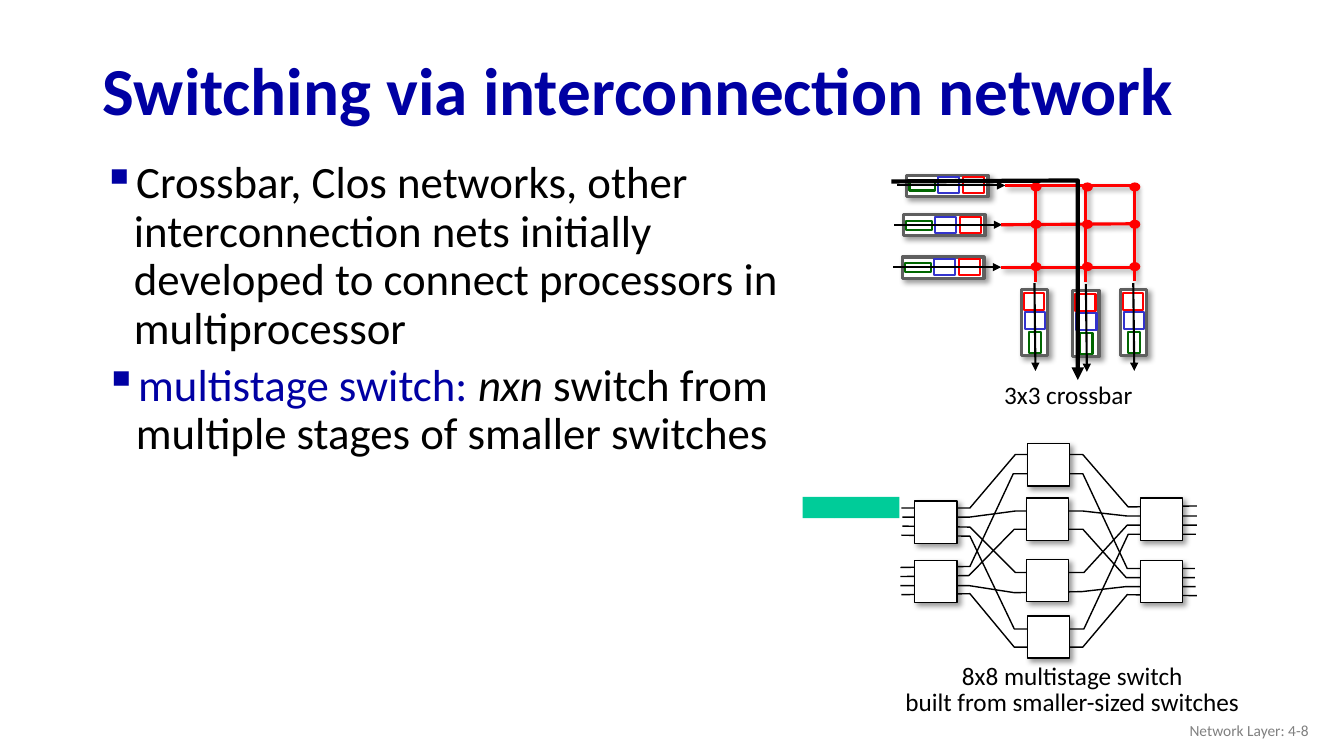
from dataclasses import dataclass
from itertools import product

from lxml.etree import SubElement
from pptx import Presentation
from pptx.dml.color import RGBColor
from pptx.enum.shapes import MSO_CONNECTOR, MSO_SHAPE
from pptx.enum.text import MSO_ANCHOR, MSO_AUTO_SIZE, PP_ALIGN
from pptx.oxml.ns import qn
from pptx.util import Cm, Pt

FONT = "Calibri"
BLACK = RGBColor(0x00, 0x00, 0x00)
WHITE = RGBColor(0xFF, 0xFF, 0xFF)
NAVY = RGBColor(0x00, 0x00, 0xA3)
RED = RGBColor(0xFF, 0x00, 0x00)
BLUE = RGBColor(0x33, 0x33, 0xCC)
GREEN = RGBColor(0x00, 0x66, 0x00)
TEAL = RGBColor(0x00, 0xCC, 0x99)
DARK_GRAY = RGBColor(0x5F, 0x5F, 0x5F)
GRAY = RGBColor(0x80, 0x80, 0x80)

Point = tuple[float, float]
Box = tuple[float, float, float, float]


@dataclass
class Stroke:
    color: RGBColor
    width: float
    arrow: bool = False


@dataclass
class Cell:
    box: Box
    color: RGBColor
    width: float = 1.5
    shadow: bool = False


@dataclass
class Buffer:
    """A port queue: its cells and arrow are relative to the origin."""
    origins: list[Point]
    cells: list[Cell]
    arrow: tuple[Point, Point]
    rotation: int


@dataclass
class Run:
    text: str
    color: RGBColor = BLACK
    italic: bool = False


INPUTS = Buffer(
    [(8.99, 1.74), (8.96, 2.13), (8.95, 2.55)],
    [Cell((0, 0, 0.81, 0.21), DARK_GRAY, 2.25, True),
     Cell((0.03, 0.06, 0.25, 0.09), GREEN),
     Cell((0.31, 0.02, 0.21, 0.16), BLUE),
     Cell((0.56, 0.02, 0.21, 0.16), RED)],
    ((-0.09, 0.1), (0.98, 0.1)), 0)
OUTPUTS = Buffer(
    [(10.91, 3.07), (10.44, 3.08), (9.93, 3.07)],
    [Cell((0, 0, 0.66, 0.26), DARK_GRAY, 2.25, True),
     Cell((0.23, 0.27, 0.21, 0.12), GREEN),
     Cell((0.25, 0.01, 0.17, 0.2), BLUE),
     Cell((0.24, -0.18, 0.17, 0.2), RED)],
    ((0.33, -0.26), (0.34, 0.61)), 90)

CROSSBAR_LINES = [
    ((9.97, 1.84), (11.25, 1.84)), ((9.93, 2.23), (11.26, 2.22)),
    ((9.93, 2.65), (11.25, 2.65)), ((10.27, 2.8), (10.27, 1.84)),
    ((10.77, 2.8), (10.77, 1.84)), ((11.25, 2.79), (11.25, 1.83)),
]
SWITCHED_PATH = [(8.84, 1.8), (10.69, 1.79), (10.69, 3.77)]

# Each wire runs from an input, through a middle switch, to an output.
WIRES = [
    [(8.94, 5.04), (9.62, 5.04), (10.07, 4.51), (10.74, 4.51), (11.19, 5.03), (11.87, 5.02)],
    [(8.94, 5.9), (9.62, 5.89), (10.06, 6.42), (10.74, 6.42), (11.18, 5.9), (11.87, 5.91)],
    [(8.95, 5.13), (9.62, 5.13), (10.07, 5.07), (10.74, 5.07), (11.18, 5.12), (11.87, 5.12)],
    [(8.93, 5.81), (9.61, 5.81), (10.06, 5.88), (10.73, 5.87), (11.17, 5.82), (11.86, 5.82)],
    [(8.95, 5.22), (9.62, 5.23), (10.07, 5.68), (10.75, 5.68), (11.18, 5.21), (11.87, 5.21)],
    [(8.93, 5.72), (9.61, 5.71), (10.06, 5.25), (10.74, 5.25), (11.17, 5.73), (11.85, 5.73)],
    [(8.94, 5.31), (9.62, 5.32), (10.06, 6.24), (10.75, 6.24), (11.19, 5.3), (11.86, 5.3)],
    [(8.93, 5.63), (9.62, 5.62), (10.05, 4.7), (10.74, 4.7), (11.18, 5.64), (11.85, 5.64)],
]
SWITCH_SIZE = 0.42
SWITCHES = [(9.07, 4.97), (9.07, 5.56), (10.19, 4.4), (10.18, 4.94),
            (10.18, 5.55), (10.19, 6.11), (11.31, 5.56), (11.31, 4.94)]


def inches(value: float) -> Cm:
    return Cm(value * 2.54)


def set_shadow(sp, visible: bool) -> None:
    """Replace the theme shadow with a soft one or with none."""
    effects = SubElement(sp._element.spPr, qn("a:effectLst"))
    if visible:
        shadow = SubElement(effects, qn("a:outerShdw"), blurRad=str(Pt(4)), dist=str(Pt(3)),
                            dir="2700000", algn="tl", rotWithShape="0")
        color = SubElement(shadow, qn("a:srgbClr"), val=str(BLACK))
        SubElement(color, qn("a:alpha"), val="40000")


def set_stroke(sp, stroke: Stroke, shadow: bool = False) -> None:
    sp.line.color.rgb = stroke.color
    sp.line.width = Pt(stroke.width)
    if stroke.arrow:
        SubElement(sp.line._get_or_add_ln(), qn("a:tailEnd"), type="triangle")
    set_shadow(sp, shadow)


def add_box(slide, box: Box, fill: RGBColor, stroke: Stroke | None = None,
            shadow: bool = False, rotation: int = 0, kind=MSO_SHAPE.RECTANGLE) -> None:
    sp = slide.shapes.add_shape(kind, *map(inches, box))
    sp.rotation = rotation
    sp.fill.solid()
    sp.fill.fore_color.rgb = fill
    if stroke:
        set_stroke(sp, stroke, shadow)
    else:
        sp.line.fill.background()
        set_shadow(sp, shadow)


def add_line(slide, start: Point, end: Point, stroke: Stroke, shadow: bool = False) -> None:
    sp = slide.shapes.add_connector(MSO_CONNECTOR.STRAIGHT, *map(inches, start + end))
    set_stroke(sp, stroke, shadow)


def add_polyline(slide, points: list[Point], stroke: Stroke) -> None:
    start, *rest = [(inches(x), inches(y)) for x, y in points]
    builder = slide.shapes.build_freeform(*start)
    builder.add_line_segments(rest, close=False)
    sp = builder.convert_to_shape()
    sp.fill.background()
    set_stroke(sp, stroke)


def add_buffers(slide, buffer: Buffer) -> None:
    for x, y in buffer.origins:
        for cell in buffer.cells:
            dx, dy, w, h = cell.box
            add_box(slide, (x + dx, y + dy, w, h), WHITE, Stroke(cell.color, cell.width),
                    cell.shadow, buffer.rotation)
        start, end = [(x + dx, y + dy) for dx, dy in buffer.arrow]
        add_line(slide, start, end, Stroke(BLACK, 1.5, True))


def format_text(tf, size: int, color: RGBColor, align, spacing: float) -> None:
    for p in tf.paragraphs:
        p.alignment = align
        p.line_spacing = spacing
        for r in p.runs:
            r.font.name = FONT
            r.font.size = Pt(size)
            r.font.color.rgb = color


def add_text(slide, box: Box, text: str, size: int, color: RGBColor = BLACK,
             align=PP_ALIGN.CENTER, spacing: float = 0.85, wrap: bool = False):
    tf = slide.shapes.add_textbox(*map(inches, box)).text_frame
    tf.word_wrap = wrap
    tf.auto_size = MSO_AUTO_SIZE.NONE if wrap else MSO_AUTO_SIZE.SHAPE_TO_FIT_TEXT
    tf.text = text
    format_text(tf, size, color, align, spacing)
    return tf


def add_bullet(slide, box: Box, runs: list[Run]) -> None:
    tf = add_text(slide, box, "", 32, wrap=True)
    p = tf.paragraphs[0]
    for run in runs:
        p.add_run().text = run.text
    format_text(tf, 32, BLACK, PP_ALIGN.LEFT, 0.9)
    for r, run in zip(p.runs, runs):
        r.font.color.rgb = run.color
        r.font.italic = run.italic
    p.space_before = Pt(10)
    pPr = p._p.get_or_add_pPr()
    pPr.set("marL", str(inches(0.39)))
    pPr.set("indent", str(inches(-0.31)))
    SubElement(SubElement(pPr, qn("a:buClr")), qn("a:srgbClr"), val=str(NAVY))
    SubElement(pPr, qn("a:buChar"), char="▪")


def add_title(slide, text: str) -> None:
    sp = slide.shapes.title
    sp.left, sp.top, sp.width, sp.height = map(inches, (0.92, 0.44, 11.5, 0.98))
    tf = sp.text_frame
    tf.text = text
    tf.auto_size = MSO_AUTO_SIZE.NONE
    tf.vertical_anchor = MSO_ANCHOR.MIDDLE
    format_text(tf, 48, NAVY, PP_ALIGN.LEFT, 0.9)
    tf.paragraphs[0].runs[0].font.bold = True


def main() -> None:
    prs = Presentation()
    prs.slide_width, prs.slide_height = inches(13.33), inches(7.5)
    s = prs.slides.add_slide(prs.slide_layouts[5])
    add_title(s, "Switching via interconnection network")
    add_bullet(s, (0.84, 1.54, 7.08, 5.58), [
        Run("Crossbar, Clos networks, other interconnection nets initially "
            "developed to connect processors in multiprocessor")])

    add_buffers(s, INPUTS)
    add_buffers(s, OUTPUTS)
    for start, end in CROSSBAR_LINES:
        add_line(s, start, end, Stroke(RED, 2.25), shadow=True)
    for x, y in product((10.22, 10.73, 11.2), (1.81, 2.18, 2.6)):
        add_box(s, (x, y, 0.11, 0.09), RED, kind=MSO_SHAPE.OVAL)
    add_polyline(s, SWITCHED_PATH, Stroke(BLACK, 3, True))

    for wire in WIRES:
        add_polyline(s, wire, Stroke(BLACK, 1))
    for x, y in SWITCHES:
        add_box(s, (x, y, SWITCH_SIZE, SWITCH_SIZE), WHITE, Stroke(BLACK, 1), shadow=True)
    add_text(s, (8.86, 6.55, 3.55, 0.62),
             "8x8 multistage switch\nbuilt from smaller-sized switches", 18)

    add_bullet(s, (0.86, 3.55, 7.08, 1.2), [
        Run("multistage switch: ", NAVY), Run("nxn", italic=True),
        Run(" switch from multiple stages of smaller switches")])
    add_text(s, (9.85, 3.76, 1.49, 0.36), "3x3 crossbar", 18)
    for i in range(3):
        add_box(s, (7.96 + 0.32 * i, 4.93, 0.32, 0.21), TEAL)
    tf = add_text(s, (10.08, 7.05, 3, 0.4), "Network Layer: 4-8", 11, GRAY,
                  PP_ALIGN.RIGHT, 1.0, wrap=True)
    tf.vertical_anchor = MSO_ANCHOR.MIDDLE
    prs.save("out.pptx")


if __name__ == "__main__":
    main()
